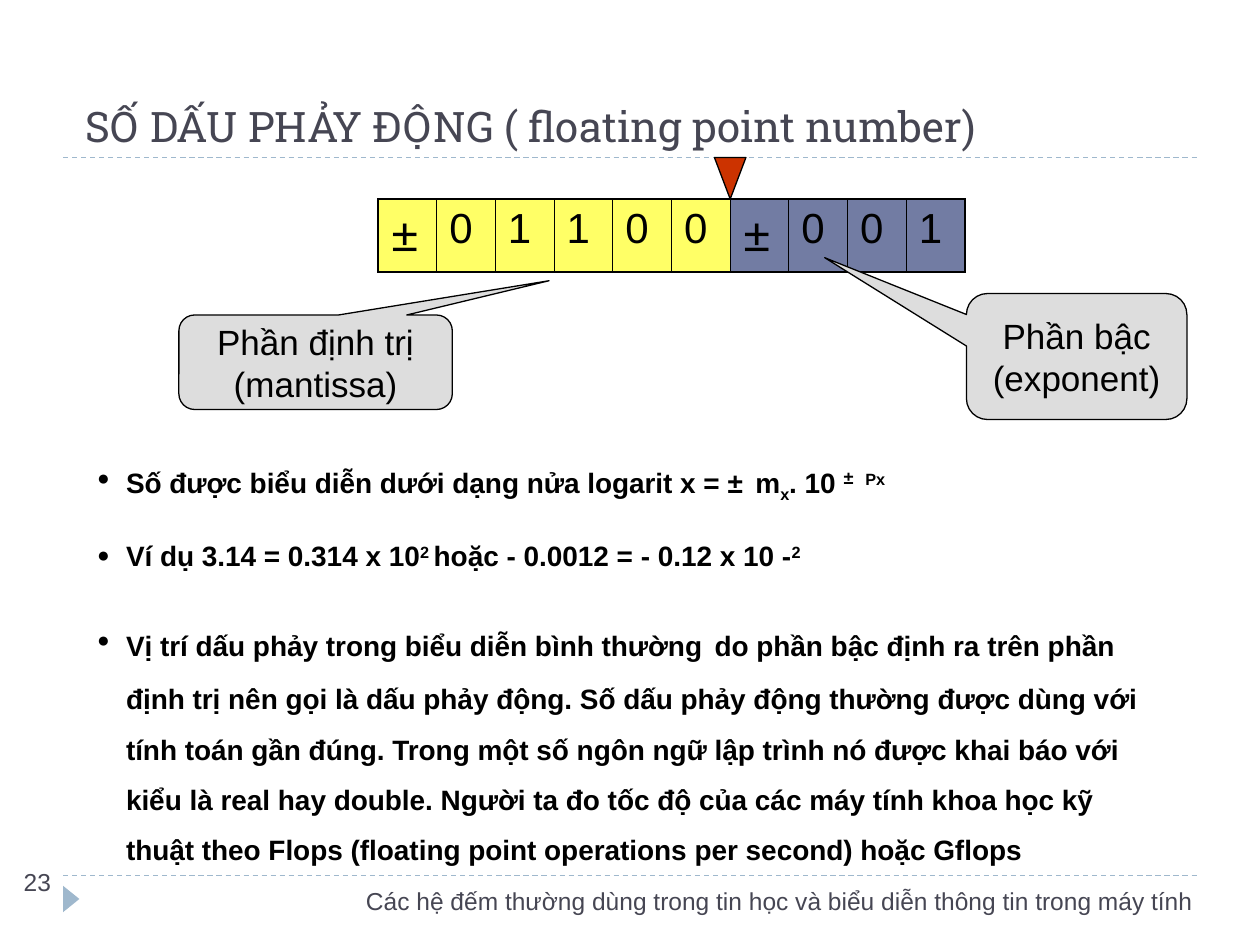
from dataclasses import dataclass
from typing import NamedTuple

from lxml.etree import SubElement
from pptx import Presentation
from pptx.dml.color import RGBColor
from pptx.enum.dml import MSO_LINE
from pptx.enum.shapes import MSO_CONNECTOR, MSO_SHAPE
from pptx.enum.text import MSO_ANCHOR, MSO_AUTO_SIZE, PP_ALIGN
from pptx.oxml.ns import qn
from pptx.util import Inches, Pt


@dataclass(frozen=True)
class Theme:
    """Colours, fonts and type sizes of the slide."""
    ink: str = "000000"
    heading: str = "464653"
    rule: str = "9FB8CD"
    mantissa: str = "FFFF66"
    exponent: str = "727CA3"
    callout: str = "DDDDDD"
    marker: str = "CC3300"
    body_font: str = "Arial"
    title_font: str = "Roboto Slab"
    sign_font: str = "Lato"
    title_size: float = 24
    digit_size: float = 24
    sign_size: float = 28
    callout_size: float = 20
    body_size: float = 16
    footer_size: float = 14


class Box(NamedTuple):
    """Left, top, width and height in inches."""
    left: float
    top: float
    width: float
    height: float

    def lengths(self):
        """Return the four values as lengths."""
        return [Inches(value) for value in self]


class Callout(NamedTuple):
    """A label whose tail points at part of the number."""
    label: str
    box: Box
    tail: tuple[float, float]


class Piece(NamedTuple):
    """A stretch of text with an optional size and baseline shift."""
    wording: str
    baseline: int = 0
    size: float | None = None


class Note(NamedTuple):
    """One line of footer text."""
    wording: str
    box: Box
    align: PP_ALIGN


THEME = Theme()
BITS = "±01100±001"
MANTISSA_LENGTH = 6
RULE_TOPS = (1.25, 6.95)
CALLOUTS = (
    Callout("Phần định trị (mantissa)", Box(1.42, 2.5, 2.17, 0.75), (0.854, -0.863)),
    Callout("Phần bậc (exponent)", Box(7.67, 2.33, 1.75, 1), (-1.143, -0.785)),
)
NOTES = (
    Note("23", Box(0.09, 6.83, 0.64, 0.53), PP_ALIGN.LEFT),
    Note("Các hệ đếm thường dùng trong tin học và biểu diễn thông tin trong máy tính",
         Box(1.15, 6.98, 8.42, 0.52), PP_ALIGN.RIGHT),
)
WIDE_SPACE = Piece(" ", size=24)
BULLETS = (
    (Piece("Số được biểu diễn dưới dạng nửa logarit x = ±"), WIDE_SPACE, Piece("m"),
     Piece("x", -25), Piece(". 10 "), Piece("±", 30, 18), WIDE_SPACE, Piece("Px", 30)),
    (Piece("Ví dụ 3.14 = 0.314 x 10"), Piece("2 ", 30),
     Piece("hoặc - 0.0012 = - 0.12 x 10 -"), Piece("2", 30)),
    (Piece("Vị trí dấu phảy trong biểu diễn bình thường"), WIDE_SPACE,
     Piece("do phần bậc định ra trên phần định trị nên gọi là dấu phảy động. "
           "Số dấu phảy động thường được dùng với tính toán gần đúng. "
           "Trong một số ngôn ngữ lập trình nó được khai báo với kiểu là real hay double. "
           "Người ta đo tốc độ của các máy tính khoa học kỹ thuật theo Flops "
           "(floating point operations per second) hoặc Gflops")),
)


def style(paragraph, size: float, color: str, font=THEME.body_font, bold=False,
          align=PP_ALIGN.LEFT, before: float = 0) -> None:
    """Set the font, alignment and space before a paragraph."""
    paragraph.alignment = align
    paragraph.space_before = Pt(before)
    paragraph.font.size = Pt(size)
    paragraph.font.name = font
    paragraph.font.bold = bold
    paragraph.font.color.rgb = RGBColor.from_string(color)


def place(shape, box: Box) -> None:
    """Move and size a placeholder."""
    shape.left, shape.top, shape.width, shape.height = box.lengths()


def add_rule(slide, top: float) -> None:
    """Draw a dashed rule across the slide."""
    rule = slide.shapes.add_connector(
        MSO_CONNECTOR.STRAIGHT, Inches(0.5), Inches(top), Inches(9.5), Inches(top))
    rule.line.color.rgb = RGBColor.from_string(THEME.rule)
    rule.line.width = Pt(0.75)
    rule.line.dash_style = MSO_LINE.DASH
    SubElement(rule._element.spPr, qn("a:effectLst"))


def add_figure(slide, kind: MSO_SHAPE, box: Box, fill: str, outlined=True, rotation: float = 0):
    """Draw a filled preset shape."""
    figure = slide.shapes.add_shape(kind, *box.lengths())
    figure.shadow.inherit = False
    figure.rotation = rotation
    figure.fill.solid()
    figure.fill.fore_color.rgb = RGBColor.from_string(fill)
    if outlined:
        figure.line.color.rgb = RGBColor.from_string(THEME.ink)
        figure.line.width = Pt(0.75)
    else:
        figure.line.fill.background()
    return figure


def add_callout(slide, callout: Callout) -> None:
    """Draw a callout with its label."""
    bubble = add_figure(slide, MSO_SHAPE.ROUNDED_RECTANGULAR_CALLOUT, callout.box, THEME.callout)
    bubble.adjustments[0], bubble.adjustments[1] = callout.tail
    frame = bubble.text_frame
    frame.word_wrap = True
    frame.vertical_anchor = MSO_ANCHOR.MIDDLE
    frame.text = callout.label
    style(frame.paragraphs[0], THEME.callout_size, THEME.ink, align=PP_ALIGN.CENTER, before=5)


def add_border(cell, side: str, width: float) -> None:
    """Draw one border of a cell."""
    edge = SubElement(cell._tc.get_or_add_tcPr(), qn(f"a:ln{side}"), w=str(Pt(width)))
    fill = SubElement(edge, qn("a:solidFill"))
    SubElement(fill, qn("a:srgbClr"), val=THEME.ink)


def add_bits(slide, box: Box) -> None:
    """Draw the number as a row of mantissa and exponent cells."""
    bits = slide.shapes.add_table(1, len(BITS), *box.lengths()).table
    bits.first_row = bits.horz_banding = False
    thick, thin = 1.08, 0.45
    for index, bit in enumerate(BITS):
        bits.columns[index].width = Inches(box.width / len(BITS))
        cell = bits.cell(0, index)
        add_border(cell, "L", thick if index == 0 else thin)
        add_border(cell, "R", thick if index == len(BITS) - 1 else thin)
        add_border(cell, "T", thick)
        add_border(cell, "B", thick)
        cell.fill.solid()
        cell.fill.fore_color.rgb = RGBColor.from_string(
            THEME.mantissa if index < MANTISSA_LENGTH else THEME.exponent)
        cell.text = bit
        if bit == "±":
            style(cell.text_frame.paragraphs[0], THEME.sign_size, THEME.ink, THEME.sign_font, before=7)
        else:
            style(cell.text_frame.paragraphs[0], THEME.digit_size, THEME.ink, before=6)


def write_bullet(paragraph, pieces: tuple[Piece, ...]) -> None:
    """Fill a paragraph with a bulleted line."""
    properties = paragraph._p.get_or_add_pPr()
    properties.set("marL", str(Inches(0.23)))
    properties.set("indent", str(-Inches(0.23)))
    color = SubElement(properties, qn("a:buClr"))
    SubElement(color, qn("a:srgbClr"), val=THEME.ink)
    SubElement(properties, qn("a:buSzPct"), val="75000")
    SubElement(properties, qn("a:buFont"), typeface=THEME.body_font)
    SubElement(properties, qn("a:buChar"), char="●")
    style(paragraph, THEME.body_size, THEME.ink, bold=True, before=10)
    paragraph.line_spacing = 1.5
    for piece in pieces:
        run = paragraph.add_run()
        run.text = piece.wording
        if piece.size:
            run.font.size = Pt(piece.size)
        if piece.baseline:
            run._r.get_or_add_rPr().set("baseline", str(piece.baseline * 1000))


def add_note(slide, note: Note) -> None:
    """Write a footer text."""
    frame = slide.shapes.add_textbox(*note.box.lengths()).text_frame
    frame.word_wrap = True
    frame.text = note.wording
    style(frame.paragraphs[0], THEME.footer_size, THEME.heading, align=note.align, before=3.5)


def main() -> None:
    """Build and save the slide."""
    deck = Presentation()
    deck.slide_width, deck.slide_height = Inches(10), Inches(7.5)
    slide = deck.slides.add_slide(deck.slide_layouts[1])
    title, body = slide.placeholders
    place(title, Box(0.58, 0.33, 8.67, 0.92))
    title.text_frame.text = "SỐ DẤU PHẢY ĐỘNG ( floating point number)"
    title.text_frame.vertical_anchor = MSO_ANCHOR.BOTTOM
    style(title.text_frame.paragraphs[0], THEME.title_size, THEME.heading, THEME.title_font)
    place(body, Box(0.67, 3.33, 8.67, 3.6))
    body.text_frame.auto_size = MSO_AUTO_SIZE.NONE
    for index, pieces in enumerate(BULLETS):
        write_bullet(body.text_frame.add_paragraph() if index else body.text_frame.paragraphs[0], pieces)
    for top in RULE_TOPS:
        add_rule(slide, top)
    add_figure(slide, MSO_SHAPE.ISOSCELES_TRIANGLE, Box(0.46, 7.07, 0.21, 0.13), THEME.rule, False, 90)
    add_bits(slide, Box(3, 1.58, 4.66, 0.58))
    add_figure(slide, MSO_SHAPE.ISOSCELES_TRIANGLE, Box(5.67, 1.25, 0.25, 0.33), THEME.marker, rotation=180)
    for callout in CALLOUTS:
        add_callout(slide, callout)
    for note in NOTES:
        add_note(slide, note)
    deck.save("out.pptx")


if __name__ == "__main__":
    main()
